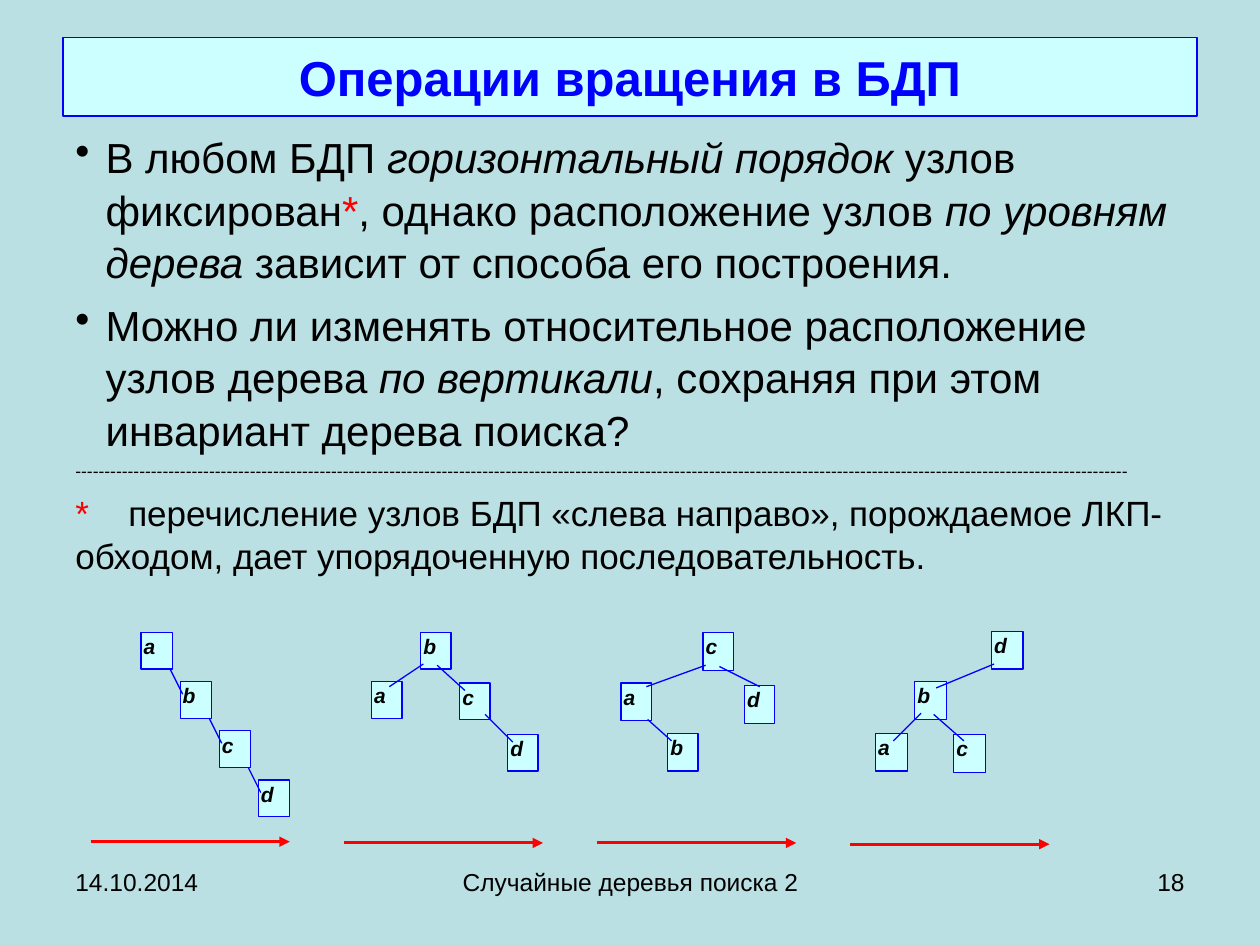
from dataclasses import dataclass

from lxml import etree
from pptx import Presentation
from pptx import util as u
from pptx.dml.color import RGBColor
from pptx.enum import shapes, text
from pptx.oxml import ns


@dataclass(frozen=True)
class Theme:
    font: str = "Arial"
    ground: str = "BBE0E3"
    panel: str = "CCFFFF"
    blue: str = "0000FF"
    red: str = "FF0000"
    ink: str = "000000"
    title: float = 28
    body: float = 24
    note: float = 20
    footer: float = 14
    node: float = 12
    rule: float = 10
    outline: float = 0.75
    arrow: float = 1.75


def assign(target, values):
    for name, value in values.items():
        setattr(target, name, value)


def add_xml(parent, tag, **attributes):
    return etree.SubElement(parent, ns.qn(tag), attributes)


class RotationSlide:
    """Draws the elements of one slide in a shared style."""

    def __init__(self, deck, theme):
        self.theme = theme
        self.slide = deck.slides.add_slide(deck.slide_layouts[5])
        fill = self.slide.background.fill
        fill.solid()
        fill.fore_color.rgb = RGBColor.from_string(theme.ground)

    def place(self, shape, box):
        sides = ("left", "top", "width", "height")
        assign(shape, {side: u.Inches(value) for side, value in zip(sides, box)})

    def add_words(self, paragraph, wording, size, color=None, **style):
        run = paragraph.add_run()
        run.text = wording
        assign(run.font, {"name": self.theme.font, "size": u.Pt(size), **style})
        run.font.color.rgb = RGBColor.from_string(color or self.theme.ink)

    def outline(self, shape, color, width):
        shape.line.color.rgb = RGBColor.from_string(color)
        shape.line.width = u.Pt(width)

    def panel(self, shape):
        shape.fill.solid()
        shape.fill.fore_color.rgb = RGBColor.from_string(self.theme.panel)
        self.outline(shape, self.theme.blue, self.theme.outline)

    def title(self, wording, box):
        heading = self.slide.shapes.title
        self.place(heading, box)
        self.panel(heading)
        assign(heading.text_frame, {
            "auto_size": text.MSO_AUTO_SIZE.NONE, "word_wrap": True,
            "vertical_anchor": text.MSO_ANCHOR.MIDDLE})
        line = heading.text_frame.paragraphs[0]
        line.alignment = text.PP_ALIGN.CENTER
        self.add_words(line, wording, self.theme.title, self.theme.blue, bold=True)

    def frame(self, box):
        holder = self.slide.shapes.add_textbox(*map(u.Inches, box))
        holder.text_frame.word_wrap = True
        return holder.text_frame

    def footer(self, wording, box, alignment):
        line = self.frame(box).paragraphs[0]
        line.alignment = alignment
        self.add_words(line, wording, self.theme.footer)

    def body(self, paragraphs, box):
        frame = self.frame(box)
        for index, (kind, size, before, runs) in enumerate(paragraphs):
            line = frame.add_paragraph() if index else frame.paragraphs[0]
            assign(line, {"space_before": u.Pt(before), "line_spacing": 1.04})
            for wording, color, italic in runs:
                self.add_words(line, wording, size, color, italic=italic)
            properties = line._p.get_or_add_pPr()
            if kind == "bullet":
                hang = u.Inches(0.24)
                properties.set("marL", str(hang))
                properties.set("indent", str(-hang))
                bullet_color = add_xml(properties, "a:buClr")
                add_xml(bullet_color, "a:srgbClr", val=self.theme.ink)
                add_xml(properties, "a:buChar", char="•")
            elif kind == "footnote":
                stops = add_xml(properties, "a:tabLst")
                add_xml(stops, "a:tab", pos=str(u.Inches(0.42)), algn="l")

    def node(self, canvas, letter, box):
        node = canvas.add_shape(shapes.MSO_SHAPE.RECTANGLE, *map(u.Inches, box))
        node.shadow.inherit = False
        self.panel(node)
        assign(node.text_frame, {
            "margin_left": u.Inches(0.02), "margin_right": u.Inches(0.02),
            "margin_top": u.Inches(0.01), "margin_bottom": u.Inches(0.01),
            "vertical_anchor": text.MSO_ANCHOR.TOP, "word_wrap": True})
        line = node.text_frame.paragraphs[0]
        line.alignment = text.PP_ALIGN.LEFT
        self.add_words(line, letter, self.theme.node, bold=True, italic=True)

    def line(self, canvas, ends, color, width, head=False):
        line = canvas.add_connector(shapes.MSO_CONNECTOR.STRAIGHT, *map(u.Inches, ends))
        self.outline(line, color, width)
        properties = line.element.spPr
        if head:
            add_xml(properties.find(ns.qn("a:ln")), "a:tailEnd", type="triangle")
        add_xml(properties, "a:effectLst")

    def tree(self, size, nodes, edges):
        canvas = self.slide.shapes.add_group_shape().shapes
        for letter, corner in nodes.items():
            self.node(canvas, letter, (*corner, *size))
        for ends in edges:
            self.line(canvas, ends, self.theme.blue, self.theme.outline)

    def arrow(self, left, top):
        self.line(self.slide.shapes, (left, top, left + 1.58, top),
                  self.theme.red, self.theme.arrow, head=True)


def main():
    theme = Theme()
    deck = Presentation()
    assign(deck, {"slide_width": u.Inches(10), "slide_height": u.Inches(7.5)})
    slide = RotationSlide(deck, theme)

    align = text.PP_ALIGN
    for wording, left, width, alignment in (
        ("14.10.2014", 0.5, 2.33, align.LEFT),
        ("Случайные деревья поиска 2", 3.42, 3.17, align.CENTER),
        ("18", 7.17, 2.33, align.RIGHT),
    ):
        slide.footer(wording, (left, 6.83, width, 0.52), alignment)

    slide.title("Операции вращения в БДП", (0.5, 0.3, 9, 0.62))
    ink, red = theme.ink, theme.red
    slide.body((
        ("bullet", theme.body, 6, (
            ("В любом БДП ", ink, False),
            ("горизонтальный порядок", ink, True),
            (" узлов фиксирован", ink, False),
            ("*", red, False),
            (", однако расположение узлов ", ink, False),
            ("по уровням дерева", ink, True),
            (" зависит от способа его построения.", ink, False))),
        ("bullet", theme.body, 6, (
            ("Можно ли изменять относительное расположение узлов дерева ", ink, False),
            ("по вертикали", ink, True),
            (", сохраняя при этом инвариант дерева поиска?", ink, False))),
        ("rule", theme.rule, 2.5, (("-" * 181, ink, False),)),
        ("footnote", theme.note, 5, (
            ("*", red, False),
            ("\tперечисление узлов БДП «слева направо», порождаемое ЛКП-обходом, "
             "дает упорядоченную последовательность.", ink, False))),
    ), (0.5, 0.98, 9, 3.78))

    chain = {letter: (1.12 + 0.31 * step, 5.02 + 0.39 * step)
             for step, letter in enumerate("abcd")}
    links = [(1.35 + 0.31 * step, 5.31 + 0.39 * step,
              1.45 + 0.31 * step, 5.51 + 0.39 * step) for step in range(3)]
    slide.tree((0.25, 0.29), chain, links)
    slide.tree(
        (0.24, 0.29),
        {"a": (2.95, 5.41), "b": (3.34, 5.02), "c": (3.65, 5.42), "d": (4.03, 5.83)},
        ((3.36, 5.27, 3.09, 5.45), (3.47, 5.28, 3.69, 5.48), (3.85, 5.67, 4.07, 5.89)))
    slide.tree(
        (0.24, 0.3),
        {"c": (5.58, 5.02), "d": (5.91, 5.44), "a": (4.93, 5.42), "b": (5.3, 5.82)},
        ((5.6, 5.28, 5.13, 5.45), (5.71, 5.29, 6.03, 5.45), (5.14, 5.71, 5.33, 5.88)))
    slide.tree(
        (0.25, 0.3),
        {"d": (7.87, 5.01), "b": (7.26, 5.41), "a": (6.95, 5.82), "c": (7.57, 5.83)},
        ((7.89, 5.27, 7.43, 5.46), (7.31, 5.66, 7.09, 5.88), (7.41, 5.67, 7.65, 5.88)))

    for column, top in enumerate((6.68, 6.69, 6.69, 6.7)):
        slide.arrow(0.72 + 2.01 * column, top)
    deck.save("out.pptx")


if __name__ == "__main__":
    main()
